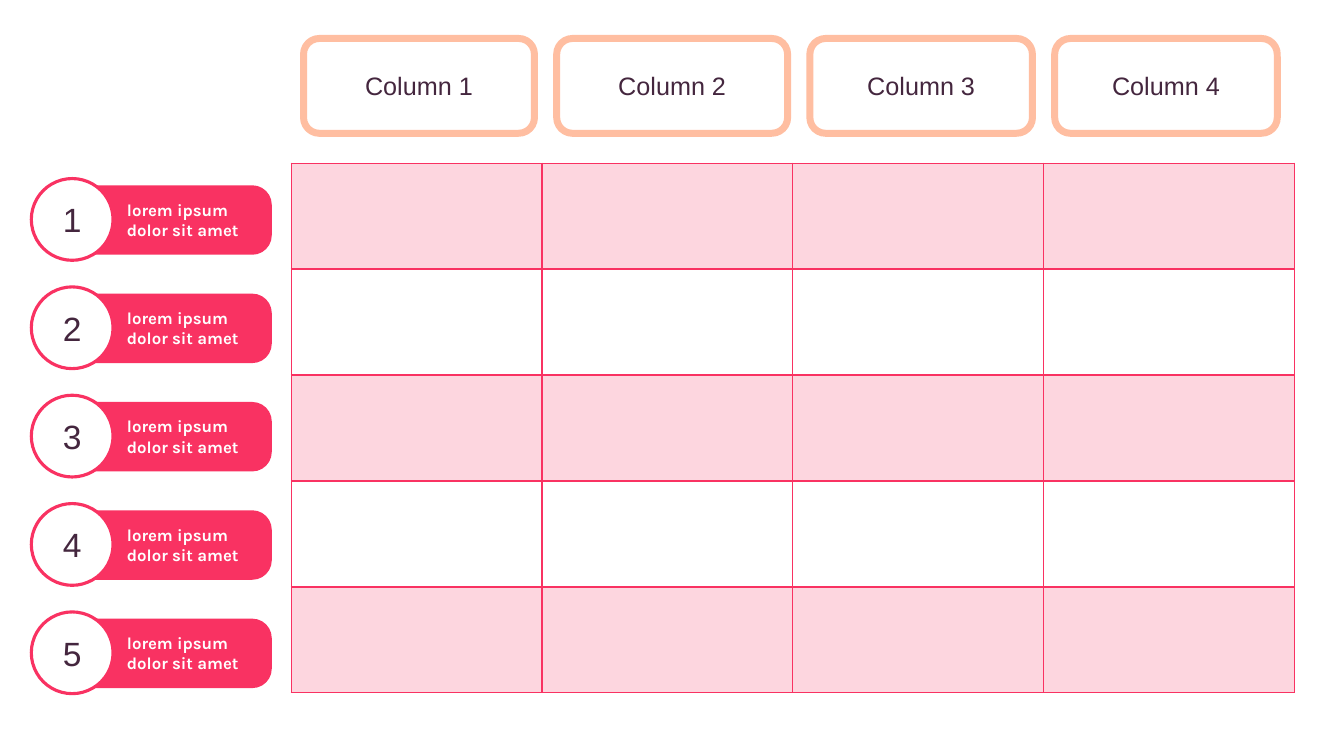
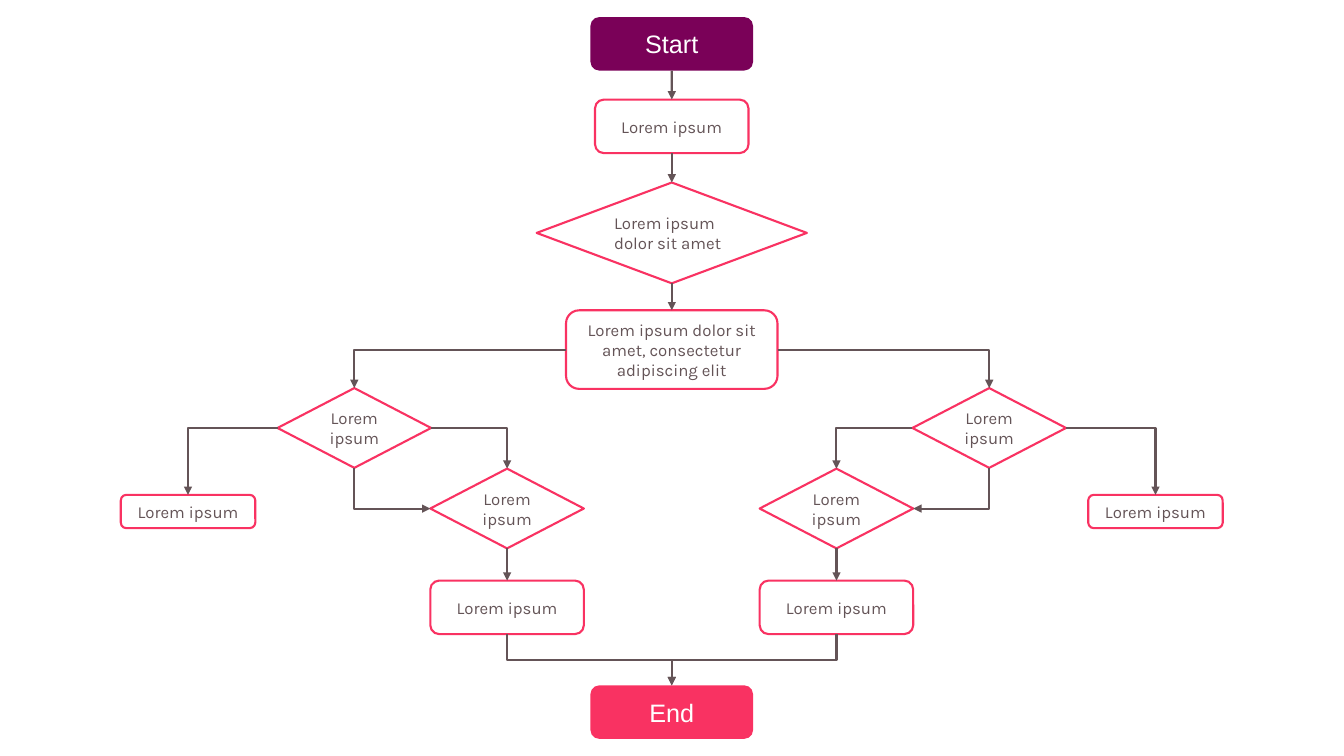
from dataclasses import dataclass

from lxml.etree import SubElement
from pptx import Presentation
from pptx.dml.color import RGBColor
from pptx.enum.shapes import MSO_CONNECTOR, MSO_SHAPE
from pptx.enum.text import MSO_ANCHOR, PP_ALIGN
from pptx.oxml.ns import qn
from pptx.util import Cm, Pt


@dataclass(frozen=True)
class Theme:
    pink: RGBColor = RGBColor.from_string("F93262")
    peach: RGBColor = RGBColor.from_string("FFBEA1")
    plum: RGBColor = RGBColor.from_string("7A0158")
    ink: RGBColor = RGBColor.from_string("44263E")
    grey: RGBColor = RGBColor.from_string("645457")
    white: RGBColor = RGBColor.from_string("FFFFFF")
    heading_font: str = "Arial"
    body_font: str = "Karla"
    number_size: int = 24
    heading_size: int = 18
    body_size: int = 12
    band_opacity: int = 20
    grid_line: float = 1
    node_line: float = 1.5
    badge_line: float = 2.25
    header_line: float = 5


theme = Theme()


def draw_shape(slide, preset, box, fill, line=None, text="", font=None, align=PP_ALIGN.CENTER):
    """Draw a shape; box is in cm, line is (colour, points), font is (name, size, colour)."""
    shape = slide.shapes.add_shape(preset, *(Cm(length) for length in box))
    shape.shadow.inherit = False
    shape.fill.solid()
    shape.fill.fore_color.rgb = fill
    if line:
        shape.line.color.rgb, shape.line.width = line[0], Pt(line[1])
    else:
        shape.line.fill.background()
    if text:
        frame = shape.text_frame
        frame.word_wrap = True
        frame.vertical_anchor = MSO_ANCHOR.MIDDLE
        paragraph = frame.paragraphs[0]
        paragraph.text = text
        paragraph.alignment = align
        paragraph.font.name, paragraph.font.size = font[0], Pt(font[1])
        paragraph.font.color.rgb = font[2]
    return shape


def link(slide, source, source_site, target, target_site):
    """Glue an arrow between two sites, numbered 0 top, 1 left, 2 bottom, 3 right."""
    straight = (source_site, target_site) == (2, 0) and (
        abs(source.left + source.width / 2 - target.left - target.width / 2) < Cm(0.1)
    )
    kind = MSO_CONNECTOR.STRAIGHT if straight else MSO_CONNECTOR.ELBOW
    connector = slide.shapes.add_connector(kind, 0, 0, 0, 0)
    connector.begin_connect(source, source_site)
    connector.end_connect(target, target_site)
    properties = connector._element.spPr
    if not straight and source_site != target_site and (source_site, target_site) != (2, 0):
        properties.find(qn("a:prstGeom")).set("prst", "bentConnector2")
    if not straight and source_site == 2:
        # An elbow that leaves downwards is a sideways elbow turned by a quarter
        center_x = (connector.begin_x + connector.end_x) // 2
        center_y = (connector.begin_y + connector.end_y) // 2
        goes_right = connector.end_x > connector.begin_x
        connector.width, connector.height = connector.height, connector.width
        connector.left = center_x - connector.width // 2
        connector.top = center_y - connector.height // 2
        transform = properties.find(qn("a:xfrm"))
        transform.set("rot", "5400000")
        transform.set("flipH", "0")
        transform.set("flipV", "1" if goes_right else "0")
    connector.line.color.rgb = theme.grey
    connector.line.width = Pt(theme.node_line)
    SubElement(connector.get_or_add_ln(), qn("a:tailEnd")).set("type", "triangle")
    SubElement(properties, qn("a:effectLst"))


presentation = Presentation()
presentation.slide_width, presentation.slide_height = Cm(33.87), Cm(19.05)
blank_layout = presentation.slide_layouts[6]

# Slide 1: table with numbered rows
slide = presentation.slides.add_slide(blank_layout)
row_count, column_count = 5, 4
column_width, row_height = 6.32, 2.67
table = slide.shapes.add_table(
    row_count, column_count, Cm(7.34), Cm(4.11),
    Cm(column_width * column_count), Cm(row_height * row_count),
).table
table.first_row = table.horz_banding = False
for column in table.columns:
    column.width = Cm(column_width)
for row_index, row in enumerate(table.rows):
    row.height = Cm(row_height)
    for cell in row.cells:
        cell_properties = cell._tc.get_or_add_tcPr()
        for side in ("a:lnL", "a:lnR", "a:lnT", "a:lnB"):
            border = SubElement(cell_properties, qn(side), w=str(Pt(theme.grid_line)))
            border_fill = SubElement(border, qn("a:solidFill"))
            SubElement(border_fill, qn("a:srgbClr"), val=str(theme.pink))
        if row_index % 2 == 0:
            cell.fill.solid()
            cell.fill.fore_color.rgb = theme.pink
            color = cell_properties.find(qn("a:solidFill")).find(qn("a:srgbClr"))
            SubElement(color, qn("a:alpha"), val=str(theme.band_opacity * 1000))
        else:
            cell.fill.background()

row_pitch = 2.73
for index in range(row_count):
    offset = index * row_pitch
    bar = draw_shape(slide, MSO_SHAPE.ROUNDED_RECTANGLE, (1.52, 4.67 + offset, 5.33, 1.75), theme.pink)
    bar.adjustments[0] = 0.28
    draw_shape(
        slide, MSO_SHAPE.OVAL, (0.79, 4.5 + offset, 2.06, 2.06), theme.white,
        (theme.pink, theme.badge_line), str(index + 1),
        (theme.heading_font, theme.number_size, theme.ink),
    )
    label = slide.shapes.add_textbox(Cm(2.95), Cm(4.9 + offset), Cm(3.56), Cm(1.27))
    label.text_frame.word_wrap = True
    paragraph = label.text_frame.paragraphs[0]
    paragraph.text = "lorem ipsum dolor sit amet"
    paragraph.font.name, paragraph.font.size = theme.body_font, Pt(theme.body_size)
    paragraph.font.bold = True
    paragraph.font.color.rgb = theme.white

header_left, header_gap = 7.65, 0.56
for number, header_width in enumerate((5.82, 5.82, 5.61, 5.61), start=1):
    draw_shape(
        slide, MSO_SHAPE.ROUNDED_RECTANGLE, (header_left, 0.97, header_width, 2.39), theme.white,
        (theme.peach, theme.header_line), f"Column {number}",
        (theme.heading_font, theme.heading_size, theme.ink),
    )
    header_left += header_width + header_gap

# Slide 2: flowchart, mirrored about the middle of the slide
slide = presentation.slides.add_slide(blank_layout)
middle = 16.93
box, diamond = MSO_SHAPE.ROUNDED_RECTANGLE, MSO_SHAPE.DIAMOND
terminals = {}
for name, top, fill in (("Start", 0.43, theme.plum), ("End", 17.27, theme.pink)):
    terminals[name] = draw_shape(
        slide, box, (middle - 2.05, top, 4.1, 1.35), fill, None, name,
        (theme.heading_font, theme.heading_size, theme.white),
    )

# Name, preset, offset of the centre from the middle, top, width, height, text
short_text = "Lorem ipsum"
node_specs = [
    ("step", box, 0, 2.51, 3.87, 1.35, short_text),
    ("question", diamond, 0, 4.6, 6.81, 2.54, "Lorem ipsum dolor sit amet"),
    ("split", box, 0, 7.82, 5.33, 1.98, "Lorem ipsum dolor sit amet, consectetur adipiscing elit"),
]
for side, sign in (("left", -1), ("right", 1)):
    node_specs += [
        (f"{side} choice", diamond, sign * 8, 9.78, 3.87, 2.01, short_text),
        (f"{side} exit", box, sign * 12.19, 12.47, 3.39, 0.84, short_text),
        (f"{side} check", diamond, sign * 4.15, 11.81, 3.87, 2.01, short_text),
        (f"{side} result", box, sign * 4.15, 14.63, 3.87, 1.35, short_text),
    ]
nodes = {}
for name, preset, offset, top, width, height, text in node_specs:
    nodes[name] = draw_shape(
        slide, preset, (middle + offset - width / 2, top, width, height), theme.white,
        (theme.pink, theme.node_line), text, (theme.body_font, theme.body_size, theme.grey),
        PP_ALIGN.LEFT if name == "question" else PP_ALIGN.CENTER,
    )

TOP, LEFT, BOTTOM, RIGHT = range(4)
trunk = [terminals["Start"], nodes["step"], nodes["question"], nodes["split"]]
for source, target in zip(trunk, trunk[1:]):
    link(slide, source, BOTTOM, target, TOP)
for side, outer, inner in (("left", LEFT, RIGHT), ("right", RIGHT, LEFT)):
    choice, way_out, check, result = (
        nodes[f"{side} {role}"] for role in ("choice", "exit", "check", "result")
    )
    link(slide, nodes["split"], outer, choice, TOP)
    link(slide, choice, outer, way_out, TOP)
    link(slide, choice, inner, check, TOP)
    link(slide, choice, BOTTOM, check, outer)
    link(slide, check, BOTTOM, result, TOP)
    link(slide, result, BOTTOM, terminals["End"], TOP)

presentation.save("out.pptx")
